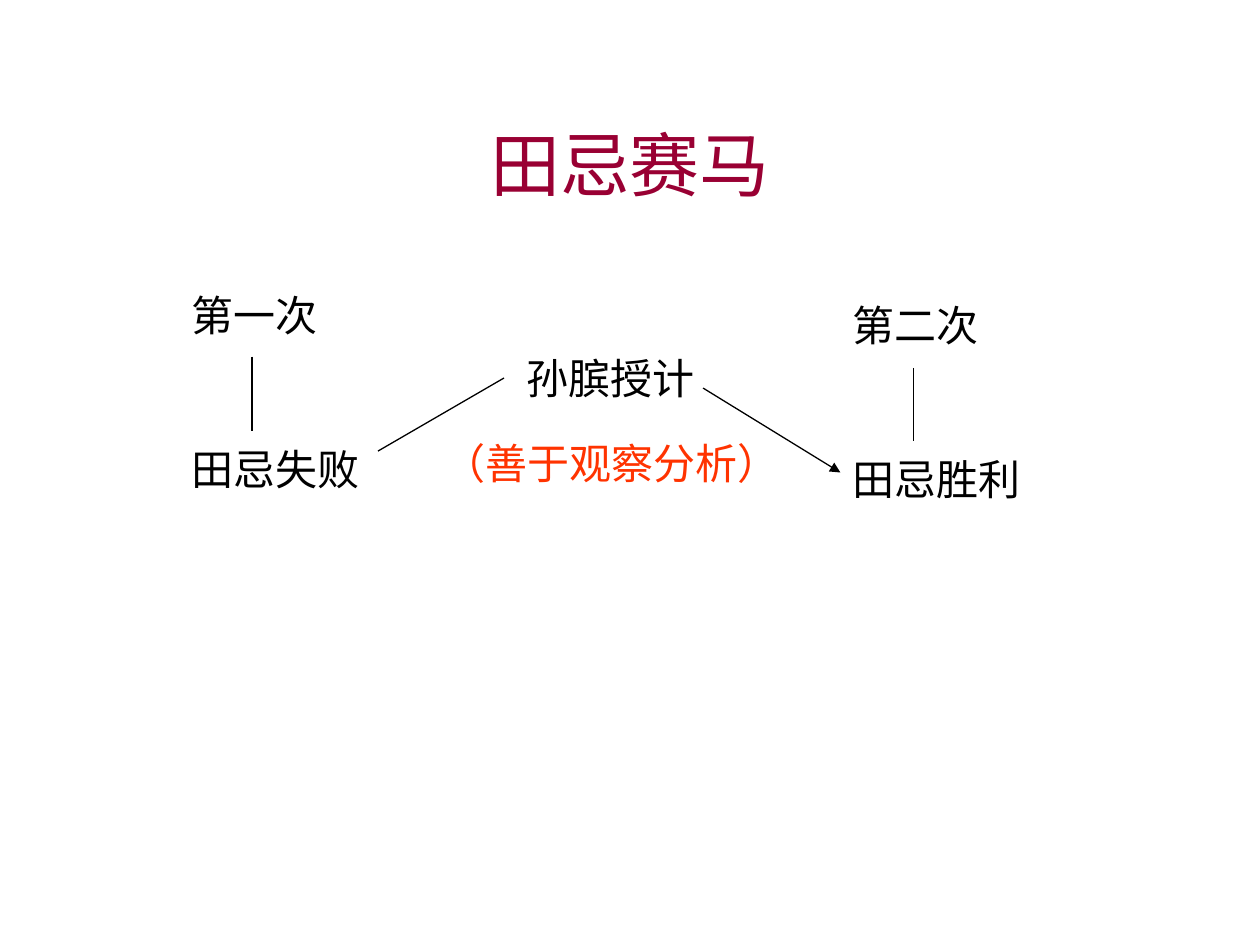
"""Build the slide on Tian Ji's horse race."""
from pptx import Presentation
from pptx.dml.color import RGBColor
from pptx.enum.shapes import MSO_CONNECTOR as Link
from pptx.enum.text import MSO_ANCHOR as Anchor, PP_ALIGN as Align
from pptx.oxml.ns import qn
from pptx.util import Inches, Pt
from lxml.etree import SubElement

BLACK = RGBColor(0x00, 0x00, 0x00)
WINE = RGBColor(0x99, 0x00, 0x33)
RED = RGBColor(0xFF, 0x33, 0x00)
FONT = "Times New Roman"


def write(frame, text, size=24, color=BLACK, align=Align.LEFT, gap=0):
    frame.word_wrap = True
    frame.text = text
    for i, para in enumerate(frame.paragraphs):
        para.alignment = align
        para.space_before = Pt(gap if i else 0)
        para.font.name = FONT
        para.font.size = Pt(size)
        para.font.color.rgb = color


deck = Presentation()
deck.slide_width, deck.slide_height = Inches(10), Inches(7.5)
slide = deck.slides.add_slide(deck.slide_layouts[5])

title = slide.shapes.title
title.left, title.top = Inches(0.75), Inches(0.67)
title.width, title.height = Inches(8.5), Inches(1.25)
title.text_frame.vertical_anchor = Anchor.MIDDLE
write(title.text_frame, "田忌赛马", size=40, color=WINE, align=Align.CENTER)

labels = [
    ("第一次\n田忌失败", 1.42, 2.25, 1.58, 1.72, BLACK),
    ("第二次\n田忌胜利", 6.67, 2.33, 1.67, 1.72, BLACK),
    ("孙膑授计", 4.08, 2.75, 1.83, 0.5, BLACK),
    ("（善于观察分析）", 3.42, 3.42, 2.92, 0.5, RED),
]
for text, left, top, width, height, color in labels:
    box = slide.shapes.add_textbox(
        Inches(left), Inches(top), Inches(width), Inches(height))
    write(box.text_frame, text, color=color, gap=59)

links = [
    (2, 2.83, 2, 3.42, False),
    (7.25, 2.92, 7.25, 3.5, False),
    (3, 3.58, 4, 3, False),
    (5.58, 3.08, 6.67, 3.75, True),
]
for x1, y1, x2, y2, arrow in links:
    link = slide.shapes.add_connector(
        Link.STRAIGHT, Inches(x1), Inches(y1), Inches(x2), Inches(y2))
    link.line.color.rgb = BLACK
    link.line.width = Pt(0.75)
    if arrow:
        SubElement(link.line._get_or_add_ln(), qn("a:tailEnd"), type="triangle")
    SubElement(link._element.spPr, qn("a:effectLst"))

deck.save("out.pptx")
